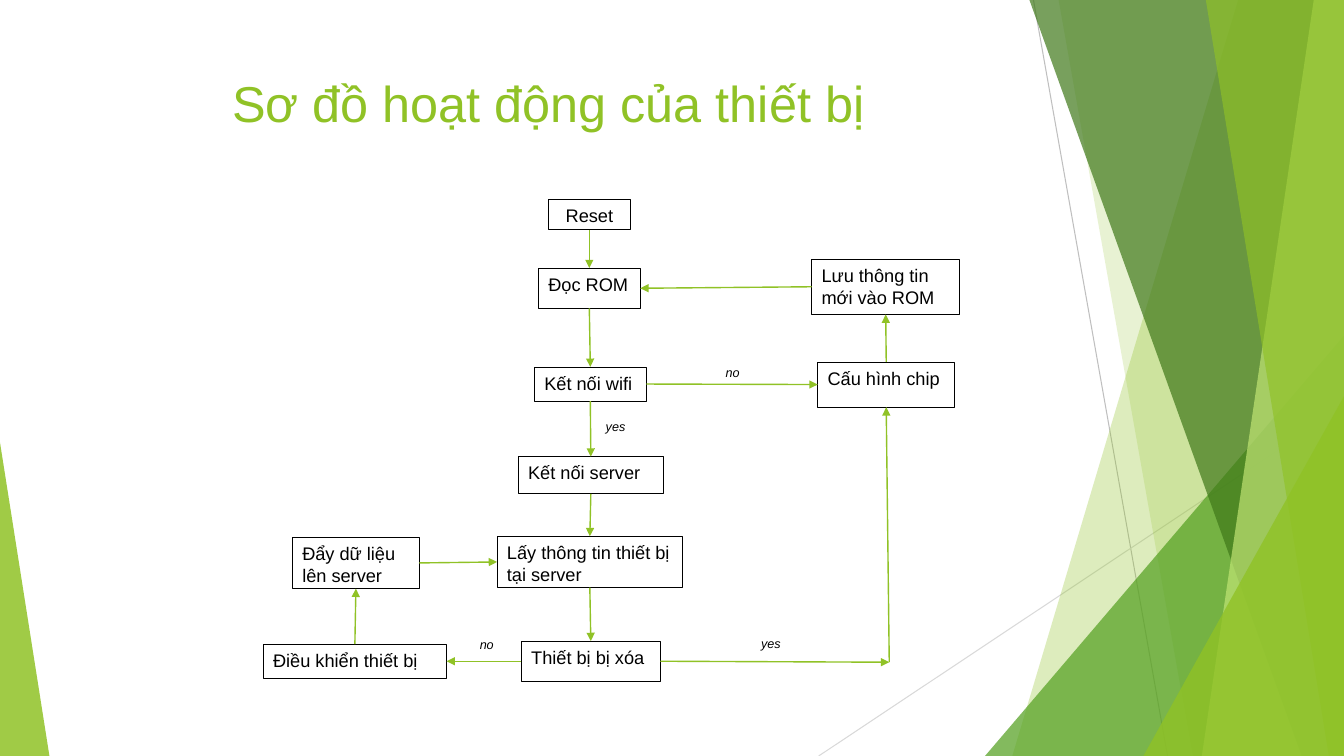
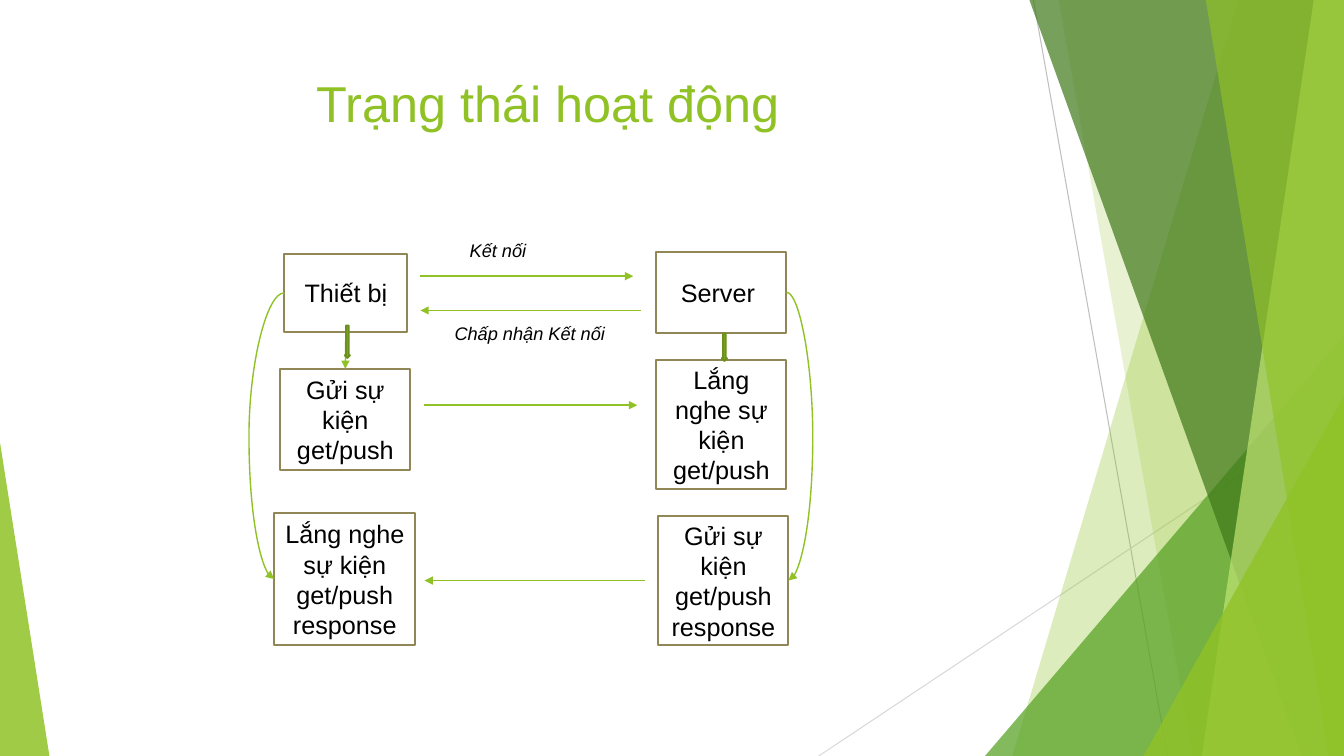
import pptx
import pptx.util
import pptx.dml.color
import pptx.enum.shapes
import pptx.enum.text
import pptx.oxml.ns

RGBColor = pptx.dml.color.RGBColor
Inches = pptx.util.Inches
SHAPE = pptx.enum.shapes.MSO_SHAPE
CONNECTOR = pptx.enum.shapes.MSO_CONNECTOR
ANCHOR = pptx.enum.text.MSO_ANCHOR
ALIGN = pptx.enum.text.PP_ALIGN
qn = pptx.oxml.ns.qn

FONT = "Arial"
WIDTH, HEIGHT = 13.33, 7.5
GREEN = RGBColor(0x90, 0xC2, 0x26)
LEAF = RGBColor(0x54, 0xA0, 0x21)
FOREST = RGBColor(0x3F, 0x78, 0x19)
LIME = RGBColor(0xC0, 0xE4, 0x74)
MOSS = RGBColor(0x6B, 0x90, 0x1C)
OLIVE = RGBColor(0x91, 0x86, 0x55)
GREY = RGBColor(0xBF, 0xBF, 0xBF)
PALE_GREY = RGBColor(0xD9, 0xD9, 0xD9)
BLACK = RGBColor(0, 0, 0)
WHITE = RGBColor(255, 255, 255)

TOP, LEFT, BOTTOM, RIGHT = range(4)
TITLE_AREA = (0.74, 0.67, 9.4, 1.44)

HAIRLINES = [((10.25, 0), (11.58, HEIGHT), GREY), ((WIDTH, 4.03), (8.12, HEIGHT), PALE_GREY)]
# Bands reach the right edge: top x, bottom x. Triangles: box and apex share.
FACETS = [
    ("band", (12.28, 10.04), GREEN, 30),
    ("band", (10.5, 11.83), GREEN, 20),
    ("triangle", (9.77, 3.33, 3.56, 4.17, 1), LEAF, 72),
    ("band", (10.21, 12.91), FOREST, 70),
    ("band", (13.03, 11.92), LIME, 70),
    ("band", (11.96, 13.18), GREEN, 65),
    ("triangle", (11.34, 3.93, 1.99, 3.57, 1), GREEN, 80),
    ("triangle", (0, 4.39, 0.49, 3.11, 0), GREEN, 85),
]

FLOW_TITLE = "Sơ đồ hoạt động của thiết bị"
FLOW_STEPS = {
    "reset": ("Reset", (5.44, 1.98, 0.81, 0.3)),
    "read": ("Đọc ROM", (5.34, 2.66, 1.01, 0.4)),
    "wifi": ("Kết nối wifi", (5.3, 3.64, 1.11, 0.34)),
    "server": ("Kết nối server", (5.14, 4.53, 1.44, 0.37)),
    "fetch": ("Lấy thông tin thiết bị tại server", (4.93, 5.32, 1.84, 0.51)),
    "deleted": ("Thiết bị bị xóa", (5.17, 6.36, 1.38, 0.4)),
    "control": ("Điều khiển thiết bị", (2.61, 6.39, 1.82, 0.34)),
    "push": ("Đẩy dữ liệu lên server", (2.9, 5.33, 1.26, 0.51)),
    "configure": ("Cấu hình chip", (8.11, 3.59, 1.36, 0.45)),
    "save": ("Lưu thông tin mới vào ROM", (8.05, 2.57, 1.47, 0.55)),
}
FLOW_LABELS = [
    ("no", (7.1, 3.57, 0.73, 0.3)),
    ("yes", (5.91, 4.11, 0.67, 0.28)),
    ("yes", (7.45, 6.26, 0.67, 0.28)),
    ("no", (4.66, 6.27, 0.35, 0.26)),
]
MAIN_PATH = ["reset", "read", "wifi", "server", "fetch", "deleted"]
CORNER = (8.82, 6.57)
FLOW_LINKS = [((a, BOTTOM), (b, TOP)) for a, b in zip(MAIN_PATH, MAIN_PATH[1:])] + [
    (("wifi", RIGHT), ("configure", LEFT)),
    (("configure", TOP), ("save", BOTTOM)),
    (("save", LEFT), ("read", RIGHT)),
    (("deleted", RIGHT), CORNER),
    (CORNER, ("configure", BOTTOM)),
    (("deleted", LEFT), ("control", RIGHT)),
    (("control", TOP), ("push", BOTTOM)),
    (("push", RIGHT), ("fetch", LEFT)),
]

STATE_TITLE = "Trạng thái hoạt động"
STATES = {
    "device": ("Thiết bị", (2.82, 2.52, 1.22, 0.77)),
    "host": ("Server ", (6.51, 2.5, 1.29, 0.8)),
    "host listens": ("Lắng nghe sự kiện get/push", (6.51, 3.57, 1.29, 1.28)),
    "device sends": ("Gửi sự kiện get/push", (2.78, 3.66, 1.29, 1)),
    "device listens": ("Lắng nghe sự kiện get/push response", (2.72, 5.09, 1.4, 1.31)),
    "host sends": ("Gửi sự kiện get/push response", (6.53, 5.12, 1.29, 1.28)),
}
STATE_LABELS = [
    ("Kết nối", (4.56, 2.32, 1.29, 0.32)),
    ("Chấp nhận Kết nối", (4.41, 3.15, 1.87, 0.32)),
]
STATE_LINKS = [
    ((4.17, 2.74), (6.28, 2.74)),
    ((6.36, 3.08), (4.17, 3.08)),
    ((4.21, 4.02), (6.32, 4.02)),
    ((6.4, 5.76), (4.21, 5.76)),
    (("device", BOTTOM), ("device sends", TOP)),
]
DOWN_ARROWS = [(3.42, 3.23, 0.05, 0.32), (7.16, 3.31, 0.05, 0.27)]
# From, to, side, and how far the curve swings out.
STATE_CURVES = [
    ("device", "device listens", LEFT, 0.35),
    ("host", "host sends", RIGHT, 0.26),
]


def inches(values):
    return [Inches(value) for value in values]


def write(frame, text, size, color=BLACK, align=ALIGN.LEFT, anchor=ANCHOR.TOP, italic=False):
    frame.word_wrap = True
    frame.vertical_anchor = anchor
    para = frame.paragraphs[0]
    para.alignment = align
    span = para.add_run()
    span.text = text
    span.font.name = FONT
    span.font.size = pptx.util.Pt(size)
    span.font.italic = italic
    span.font.color.rgb = color


def paint(shape, fill, line=None, weight=0.5, opacity=100):
    shape.shadow.inherit = False
    shape.fill.solid()
    shape.fill.fore_color.rgb = fill
    if opacity < 100:
        color = shape.element.spPr.find(qn("a:solidFill"))[0]
        color.append(color.makeelement(qn("a:alpha"), {"val": str(opacity * 1000)}))
    if line is None:
        shape.line.fill.background()
    else:
        shape.line.color.rgb = line
        shape.line.width = pptx.util.Pt(weight)


def add_box(page, area, text, size, line, weight=0.5, **text_format):
    box = page.shapes.add_shape(SHAPE.RECTANGLE, *inches(area))
    paint(box, WHITE, line, weight)
    write(box.text_frame, text, size, **text_format)
    return box


def add_line(page, start, end, color=GREEN, weight=1, arrow=True, kind=CONNECTOR.STRAIGHT):
    """Draw a line; each end is a point in inches or a (shape, side) pair."""
    joined = [not isinstance(spot[0], (int, float)) for spot in (start, end)]
    points = [(0, 0) if join else inches(spot) for join, spot in zip(joined, (start, end))]
    line = page.shapes.add_connector(kind, *points[0], *points[1])
    if joined[0]:
        line.begin_connect(*start)
    if joined[1]:
        line.end_connect(*end)
    line.line.color.rgb = color
    line.line.width = pptx.util.Pt(weight)
    properties = line.element.spPr
    if arrow:
        stroke = properties.find(qn("a:ln"))
        stroke.append(stroke.makeelement(qn("a:tailEnd"), {"type": "triangle"}))
    properties.append(properties.makeelement(qn("a:effectLst"), {}))
    return line


def add_links(page, links, boxes):
    for link in links:
        ends = [(boxes[spot[0]], spot[1]) if spot[0] in boxes else spot for spot in link]
        add_line(page, *ends)


def add_curve(page, first, last, side, swing):
    points = [
        ((box.left + (box.width if side == RIGHT else 0)) / Inches(1),
         (box.top + box.height / 2) / Inches(1))
        for box in (first, last)
    ]
    curve = add_line(page, *points, kind=CONNECTOR.CURVE)
    bend = round(100000 * Inches(swing) / curve.width)
    guides = curve.element.spPr.find(qn("a:prstGeom")).get_or_add_avLst()
    guides.append(guides.makeelement(qn("a:gd"), {"name": "adj1", "fmla": f"val {bend}"}))


def decorate(layout, page):
    """Draw the facets on a page and move them to the layout that all pages share."""
    drawn = [add_line(page, start, end, color, 0.75, arrow=False)
             for start, end, color in HAIRLINES]
    for kind, geometry, color, opacity in FACETS:
        if kind == "band":
            top, bottom = geometry
            outline = page.shapes.build_freeform(Inches(top), 0)
            outline.add_line_segments(
                [inches(spot) for spot in ((WIDTH, 0), (WIDTH, HEIGHT), (bottom, HEIGHT))])
            facet = outline.convert_to_shape()
        else:
            *area, apex = geometry
            facet = page.shapes.add_shape(SHAPE.ISOSCELES_TRIANGLE, *inches(area))
            facet.adjustments[0] = apex
        paint(facet, color, opacity=opacity)
        drawn.append(facet)
    tree = layout.shapes.element
    for order, shape in enumerate(drawn):
        shape.element.xpath(".//p:cNvPr")[0].set("id", str(100 + order))
        tree.insert(2 + order, shape.element)


def add_page(deck, layout, title):
    page = deck.slides.add_slide(layout)
    write(page.shapes.title.text_frame, title, 36, color=GREEN, align=ALIGN.CENTER)
    return page


def build_flow(page):
    boxes = {
        name: add_box(page, area, text, 13, BLACK,
                      align=ALIGN.CENTER if name == "reset" else ALIGN.LEFT)
        for name, (text, area) in FLOW_STEPS.items()
    }
    for text, area in FLOW_LABELS:
        add_box(page, area, text, 9, WHITE, italic=True)
    add_links(page, FLOW_LINKS, boxes)


def build_states(page):
    boxes = {
        name: add_box(page, area, text, 18, OLIVE, 1.5, align=ALIGN.CENTER, anchor=ANCHOR.MIDDLE)
        for name, (text, area) in STATES.items()
    }
    for text, area in STATE_LABELS:
        write(page.shapes.add_textbox(*inches(area)).text_frame, text, 13, italic=True)
    add_links(page, STATE_LINKS, boxes)
    for area in DOWN_ARROWS:
        paint(page.shapes.add_shape(SHAPE.DOWN_ARROW, *inches(area)), GREEN, MOSS, 1.5)
    for first, last, side, swing in STATE_CURVES:
        add_curve(page, boxes[first], boxes[last], side, swing)


def main():
    deck = pptx.Presentation()
    deck.slide_width, deck.slide_height = inches((WIDTH, HEIGHT))
    layout = deck.slide_layouts.get_by_name("Title Only")
    heading = layout.placeholders[0]
    heading.left, heading.top, heading.width, heading.height = inches(TITLE_AREA)
    flow = add_page(deck, layout, FLOW_TITLE)
    decorate(layout, flow)
    build_flow(flow)
    build_states(add_page(deck, layout, STATE_TITLE))
    deck.save("out.pptx")


if __name__ == "__main__":
    main()
